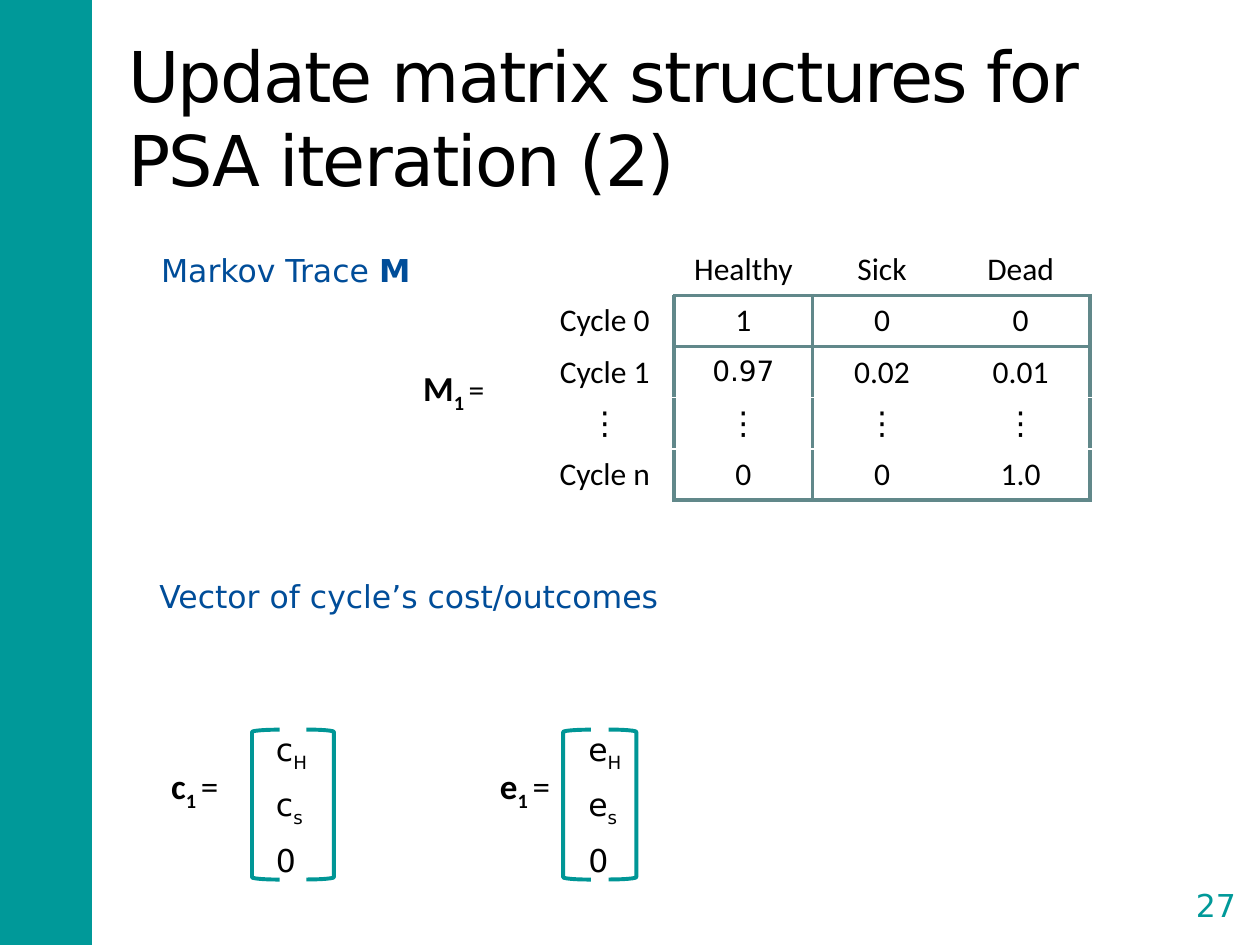
from dataclasses import dataclass
from typing import NamedTuple

from pptx import Presentation
from pptx.dml.color import RGBColor
from pptx.enum.shapes import MSO_SHAPE
from pptx.enum.text import MSO_ANCHOR, MSO_AUTO_SIZE, PP_ALIGN
from pptx.oxml import parse_xml
from pptx.oxml.ns import nsdecls
from pptx.util import Pt


@dataclass(frozen=True)
class Theme:
    teal: str = "009999"
    bracket: str = "009696"
    heading: str = "004D99"
    ink: str = "000000"
    paper: str = "FFFFFF"
    frame: str = "61888A"
    sans: str = "DejaVu Sans"
    math: str = "Calibri"
    title_size: float = 40
    symbol_size: float = 20
    text_size: float = 18
    small_size: float = 16
    line: float = 2.25


T = Theme()


class Box(NamedTuple):
    x: float
    y: float
    w: float
    h: float

    def pts(self) -> list:
        return [Pt(v) for v in self]


class Run(NamedTuple):
    text: str
    font: str = T.sans
    size: float = T.text_size
    color: str = T.ink
    bold: bool = False
    sub: bool = False


class Label(NamedTuple):
    box: Box
    runs: list
    wrap: bool = True
    align: PP_ALIGN = PP_ALIGN.LEFT


class Vector(NamedTuple):
    symbol: str
    box: Box
    brackets: tuple


def rgb(color: str) -> RGBColor:
    return RGBColor.from_string(color)


def write(tf, runs: list, align: PP_ALIGN = PP_ALIGN.LEFT) -> None:
    p = tf.paragraphs[0]
    p.alignment = align
    for run in runs:
        r = p.add_run()
        r.text = run.text
        r.font.name = run.font
        r.font.size = Pt(run.size)
        r.font.bold = run.bold
        r.font.color.rgb = rgb(run.color)
        if run.sub:
            r._r.get_or_add_rPr().set("baseline", "-25000")


def add_label(s, label: Label) -> None:
    tf = s.shapes.add_textbox(*label.box.pts()).text_frame
    tf.word_wrap = label.wrap
    if not label.wrap:
        tf.auto_size = MSO_AUTO_SIZE.SHAPE_TO_FIT_TEXT
    write(tf, label.runs, label.align)


def add_title(s, text: str) -> None:
    sp = s.shapes.title
    sp.left, sp.top, sp.width, sp.height = Box(66.2, 21.6, 638, 90).pts()
    tf = sp.text_frame
    tf.auto_size = MSO_AUTO_SIZE.NONE
    tf.vertical_anchor = MSO_ANCHOR.MIDDLE
    tf.margin_left = tf.margin_right = tf.margin_top = tf.margin_bottom = Pt(7.2)
    write(tf, [Run(text, size=T.title_size)])
    for r in tf.paragraphs[0].runs:
        r._r.get_or_add_rPr().set("spc", "-100")


def add_grid(s, box: Box, rows: int, cols: int):
    tbl = s.shapes.add_table(rows, cols, *box.pts()).table
    tbl.first_row = tbl.horz_banding = False
    for row in tbl.rows:
        row.height = Pt(box.h / rows)
    for col in tbl.columns:
        col.width = Pt(box.w / cols)
    return tbl


def add_border(cell, side: str) -> None:
    cell._tc.get_or_add_tcPr().append(parse_xml(
        f'<a:ln{side} {nsdecls("a")} w="{Pt(T.line)}"><a:solidFill>'
        f'<a:srgbClr val="{T.frame}"/></a:solidFill></a:ln{side}>'))


def add_trace(s, box: Box, values: list) -> None:
    last_row, last_col = len(values) - 1, len(values[0]) - 1
    tbl = add_grid(s, box, len(values), len(values[0]))
    for i, row in enumerate(values):
        for j, text in enumerate(row):
            cell = tbl.cell(i, j)
            edges = {
                "L": i > 0 and j == 1,
                "R": i > 0 and j in (0, last_col),
                "T": i == 1 and j > 0,
                "B": i in (0, last_row) and j > 0,
            }
            for side, shown in edges.items():
                if shown:
                    add_border(cell, side)
            cell.fill.solid()
            cell.fill.fore_color.rgb = rgb(T.paper)
            cell.vertical_anchor = MSO_ANCHOR.MIDDLE
            run = Run(text, T.math)
            if text == "0.97":
                run = Run(text, T.sans, T.small_size)
            write(cell.text_frame, [run] if text else [], PP_ALIGN.CENTER)


def add_bracket(s, x: float, rotation: float) -> None:
    sp = s.shapes.add_shape(MSO_SHAPE.RIGHT_BRACKET, *Box(x, 416.9, 15.8, 85.7).pts())
    sp.rotation = rotation
    sp.shadow.inherit = False
    sp.fill.background()
    sp.line.color.rgb = rgb(T.bracket)
    sp.line.width = Pt(T.line)


def add_vector(s, vector: Vector) -> None:
    tbl = add_grid(s, vector.box, 3, 1)
    entries = [[Run(vector.symbol), Run(state, sub=True)] for state in ("H", "s")]
    for i, runs in enumerate(entries + [[Run("0")]]):
        cell = tbl.cell(i, 0)
        cell.fill.background()
        write(cell.text_frame, runs)
    for x, rotation in zip(vector.brackets, (180, 0)):
        add_bracket(s, x, rotation)


def symbol(name: str, x: float, y: float, equals_size: float = T.symbol_size) -> Label:
    return Label(Box(x, y, 54, 28.8), [
        Run(name, T.math, T.symbol_size, bold=True),
        Run("1 ", T.math, T.symbol_size, bold=True, sub=True),
        Run("=", T.math, equals_size),
    ])


def main() -> None:
    prs = Presentation()
    prs.slide_width, prs.slide_height = Pt(720), Pt(540)
    s = prs.slides.add_slide(prs.slide_layouts[5])

    band = s.shapes.add_shape(MSO_SHAPE.RECTANGLE, *Box(-1.5, 0, 54, 540).pts())
    band.shadow.inherit = False
    band.fill.solid()
    band.fill.fore_color.rgb = rgb(T.teal)
    band.line.fill.background()

    add_title(s, "Update matrix structures for PSA iteration (2)")
    add_trace(s, Box(306, 139.7, 316.8, 145.8), [
        ["", "Healthy", "Sick", "Dead"],
        ["Cycle 0", "1", "0", "0"],
        ["Cycle 1", "0.97", "0.02", "0.01"],
        ["⋮"] * 4,
        ["Cycle n", "0", "0", "1.0"],
    ])
    labels = [
        Label(Box(85, 139.7, 158.4, 28.8),
              [Run("Markov Trace ", color=T.heading),
               Run("M", color=T.heading, bold=True)], wrap=False),
        Label(Box(84, 326.2, 301.7, 28.8),
              [Run("Vector of cycle’s cost/outcomes", color=T.heading)], wrap=False),
        Label(Box(673.2, 502.6, 43.2, 31),
              [Run("27", color=T.teal)], align=PP_ALIGN.CENTER),
        symbol("M", 234.7, 205.9, T.text_size),
        symbol("c", 90.7, 433.4),
        symbol("e", 278.6, 433.4),
    ]
    for label in labels:
        add_label(s, label)
    for vector in (
        Vector("c", Box(150.5, 414.7, 38.9, 87.8), (144, 175)),
        Vector("e", Box(329, 414.7, 56.2, 87.8), (321.8, 347.8)),
    ):
        add_vector(s, vector)
    prs.save("out.pptx")


if __name__ == "__main__":
    main()
